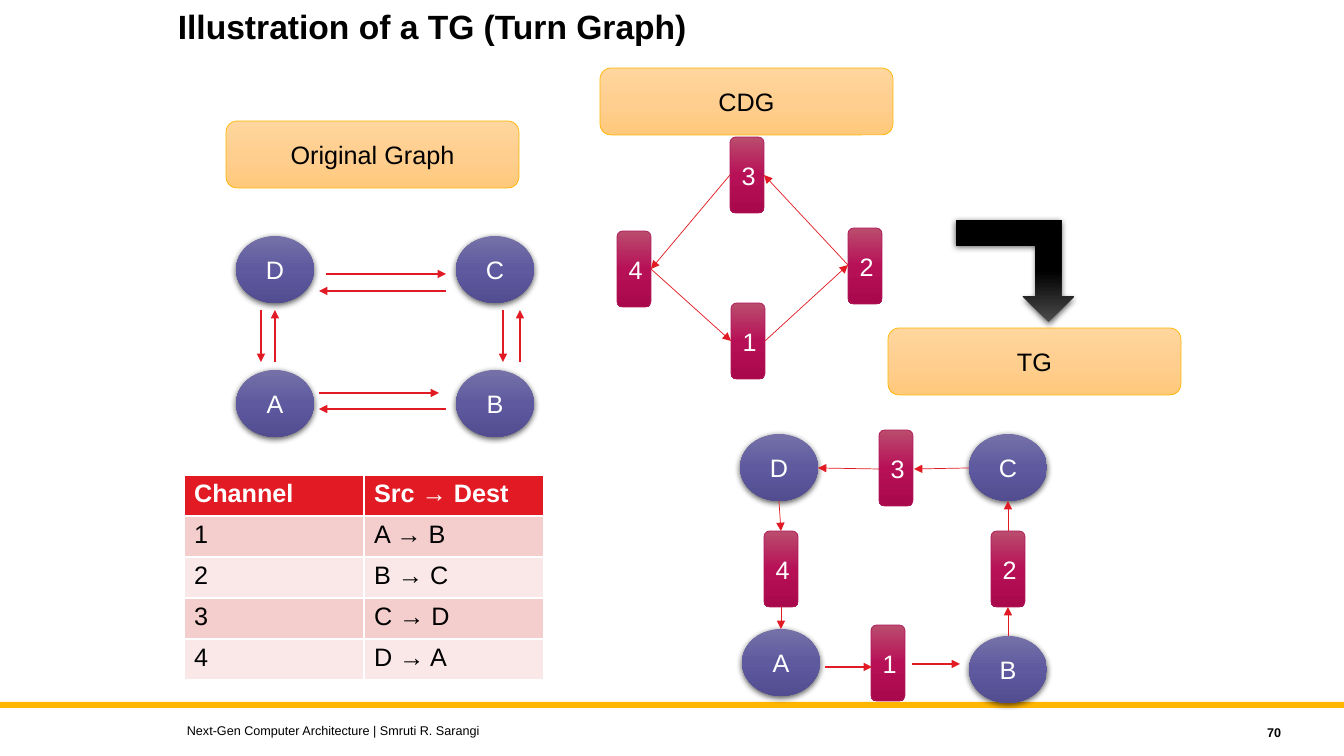
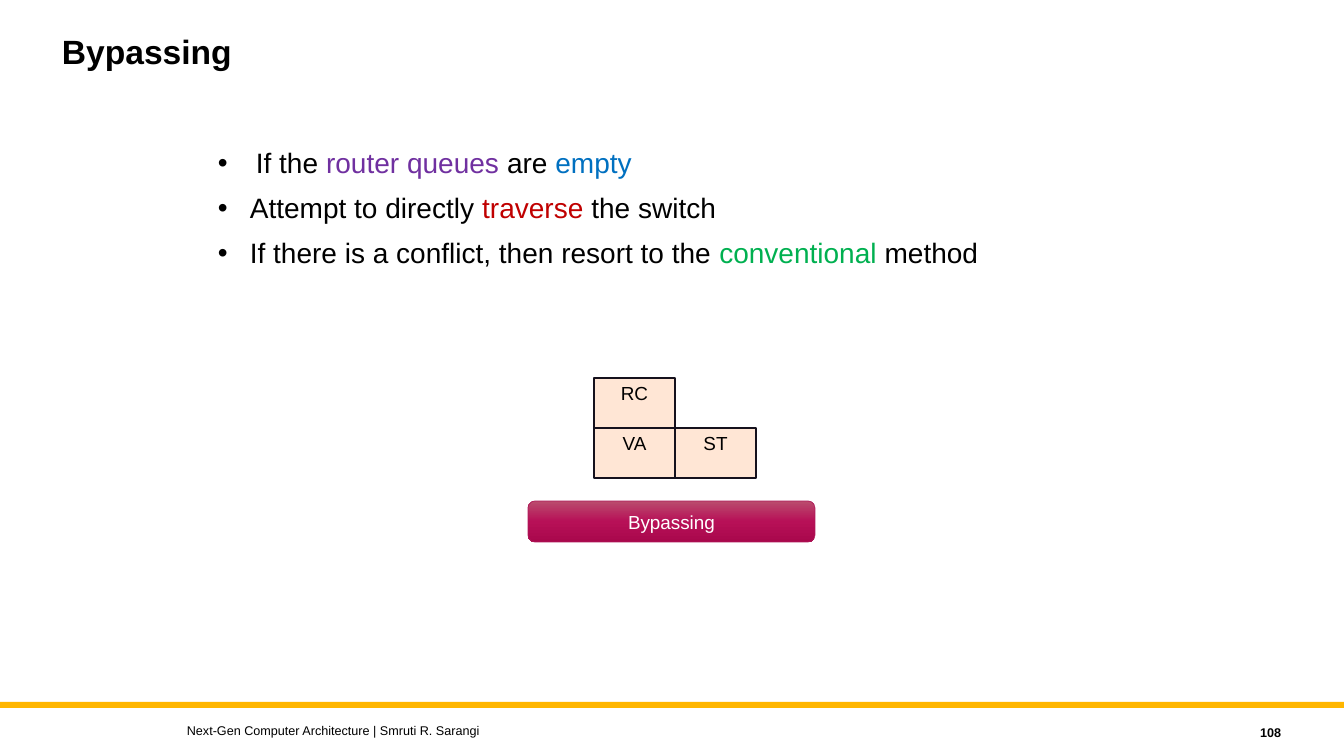
from copy import deepcopy

from lxml import etree
from pptx import Presentation
from pptx import util as u
from pptx.dml import color as dml
from pptx.enum import shapes, text
from pptx.oxml import ns

PX = 914400 / 100.8  # EMU in one px
FONT = "Arial"
BLACK, WHITE, RED, GOLD = "000000", "FFFFFF", "E21A23", "FFB600"
KIND, ALIGN, ANCHOR = shapes.MSO_SHAPE, text.PP_ALIGN, text.MSO_ANCHOR

# Styles shared by the slides
LABEL = {"kind": KIND.ROUNDED_RECTANGLE, "fill": ["FFD69E", "FFCF90", "FFC97C"],
         "line": (GOLD, 0.5), "align": ALIGN.CENTER}
NODE = {"kind": KIND.OVAL, "fill": ["7571A8", "5F5A9F", "524D90"], "shadow": True,
        "color": WHITE, "align": ALIGN.CENTER}
CHANNEL = {"kind": KIND.ROUNDED_RECTANGLE, "fill": ["BA4D6E", "B71057", "A9084C"],
           "line": ("AF1858", 0.5), "color": WHITE, "align": ALIGN.CENTER}
STAGE = {"kind": KIND.RECTANGLE, "fill": ["FFE6D5"], "line": ("15111D", 1), "size": 13.5,
         "align": ALIGN.CENTER, "anchor": ANCHOR.TOP, "insets": (7, 4)}
TURN = {"kind": KIND.BENT_UP_ARROW, "fill": ["4B4B4B", BLACK, BLACK], "shadow": True}
BAND = {"kind": KIND.RECTANGLE, "fill": [GOLD]}
TITLE = {"size": 24, "bold": True, "anchor": ANCHOR.TOP, "spacing": 0.9}
FOOTER = {"size": 9}
NUMBER = {"size": 9, "bold": True, "align": ALIGN.RIGHT}


def rgb(value):
    return dml.RGBColor.from_string(value)


def add_box(slide, box, style, words=""):
    """Add a shape, or a text box when the style names no kind."""
    box = [round(n * PX) for n in box]
    if "kind" in style:
        shape = slide.shapes.add_shape(style["kind"], *box)
        shape.shadow.inherit = False
        properties = shape._element.spPr
        colors = style["fill"]
        if len(colors) == 1:
            shape.fill.solid()
            shape.fill.fore_color.rgb = rgb(colors[0])
        else:
            shape.fill.gradient()
            shape.fill.gradient_angle = 270
            stops = properties.find(".//" + ns.qn("a:gsLst"))
            stops.insert(1, deepcopy(stops[0]))
            for stop, position, value in zip(shape.fill.gradient_stops, (0, 0.5, 1), colors):
                stop.position = position
                stop.color.rgb = rgb(value)
        if "line" in style:
            shape.line.color.rgb = rgb(style["line"][0])
            shape.line.width = u.Pt(style["line"][1])
        else:
            shape.line.fill.background()
        if style.get("shadow"):
            shadow = etree.SubElement(properties.find(ns.qn("a:effectLst")), ns.qn("a:outerShdw"),
                                      blurRad="57150", dist="19050", dir="5400000", rotWithShape="0")
            tone = etree.SubElement(shadow, ns.qn("a:srgbClr"), val=BLACK)
            etree.SubElement(tone, ns.qn("a:alpha"), val="63000")
    else:
        shape = slide.shapes.add_textbox(*box)
    frame = shape.text_frame
    frame.word_wrap = True
    frame.vertical_anchor = style.get("anchor", ANCHOR.MIDDLE)
    if "insets" in style:
        side, edge = [round(n * PX) for n in style["insets"]]
        frame.margin_left = frame.margin_right = side
        frame.margin_top = frame.margin_bottom = edge
    if words:
        paragraph = frame.paragraphs[0]
        paragraph.alignment = style.get("align", ALIGN.LEFT)
        paragraph.line_spacing = style.get("spacing")
        run = paragraph.add_run()
        run.text = words
        formats = {"name": FONT, "size": u.Pt(style.get("size", 18)), "bold": style.get("bold", False)}
        for name, value in formats.items():
            setattr(run.font, name, value)
        run.font.color.rgb = rgb(style.get("color", BLACK))
    return shape


presentation = Presentation()
presentation.slide_width = round(1344 * PX)
presentation.slide_height = round(756 * PX)

# Band, title, footer and number of each slide
slides = []
for title, box, number in [
    ("Illustration of a TG (Turn Graph)", (168, 5, 756, 91), "70"),
    ("Bypassing", (52, 30, 1008, 91), "108"),
]:
    slide = presentation.slides.add_slide(presentation.slide_layouts[6])
    add_box(slide, (0, 702, 1344, 6), BAND)
    add_box(slide, box, TITLE, title)
    add_box(slide, (177, 718, 806, 25), FOOTER, "Next-Gen Computer Architecture | Smruti R. Sarangi")
    add_box(slide, (1150, 720, 141, 25), NUMBER, number)
    slides.append(slide)
graph_slide, bypass_slide = slides

# Turn graph: labels, nodes and channels, each group with one size
groups = [
    (LABEL, (293, 67), [("Original Graph", 226, 121), ("CDG", 600, 68), ("TG", 888, 328)]),
    (NODE, (78, 67), [
        ("A", 236, 370), ("B", 456, 370), ("D", 236, 236), ("C", 456, 236),
        ("A", 742, 629), ("B", 969, 636), ("D", 740, 434), ("C", 969, 434)]),
    (CHANNEL, (34, 76), [
        ("1", 731, 303), ("2", 848, 228), ("3", 730, 137), ("4", 617, 231),
        ("1", 871, 625), ("2", 991, 531), ("3", 879, 430), ("4", 764, 531)]),
]
for style, size, places in groups:
    for words, left, top in places:
        add_box(graph_slide, (left, top, *size), style, words)
turn = add_box(graph_slide, (956, 220, 118, 102), TURN)
turn._element.spPr.find(ns.qn("a:xfrm")).set("flipV", "1")

# Arrows by line width
arrows = {
    1.5: [
        (326, 274, 446, 274), (446, 291, 319, 291), (319, 393, 439, 393), (446, 409, 319, 409),
        (261, 310, 261, 362), (275, 362, 275, 310), (503, 310, 503, 362), (520, 362, 520, 310),
        (825, 667, 872, 667), (912, 664, 960, 664)],
    0.5: [
        (765, 341, 848, 265), (848, 265, 764, 175), (730, 175, 651, 269), (651, 269, 731, 341),
        (1008, 636, 1008, 607), (1008, 531, 1008, 501), (969, 468, 914, 469),
        (879, 469, 818, 468), (779, 501, 781, 531), (781, 607, 781, 629)],
}
for width, routes in arrows.items():
    for route in routes:
        arrow = graph_slide.shapes.add_connector(
            shapes.MSO_CONNECTOR.STRAIGHT, *[round(n * PX) for n in route])
        arrow.line.color.rgb = rgb(RED)
        arrow.line.width = u.Pt(width)
        properties = arrow._element.spPr
        etree.SubElement(properties.find(ns.qn("a:ln")), ns.qn("a:tailEnd"), type="triangle")
        etree.SubElement(properties, ns.qn("a:effectLst"))

# Channel table
rows = [("Channel", "Src → Dest"), ("1", "A → B"), ("2", "B → C"), ("3", "C → D"), ("4", "D → A")]
table = graph_slide.shapes.add_table(
    len(rows), 2, *[round(n * PX) for n in (184, 475, 360, 41 * len(rows))]).table
for r, row in enumerate(rows):
    for c, words in enumerate(row):
        cell = table.cell(r, c)
        cell.fill.solid()
        cell.fill.fore_color.rgb = rgb(RED if r == 0 else ("FAE8E8", "F4CDCD")[r % 2])
        run = cell.text_frame.paragraphs[0].add_run()
        run.text = words
        for name, value in {"name": FONT, "size": u.Pt(18), "bold": r == 0}.items():
            setattr(run.font, name, value)
        run.font.color.rgb = rgb(WHITE if r == 0 else BLACK)

# Bypassing: bullets with coloured key words
bullets = [
    (38, [("If the ", BLACK), ("router queues ", "7030A0"), ("are ", BLACK), ("empty", "0070C0")]),
    (32, [("Attempt to directly ", BLACK), ("traverse", "C00000"), (" the switch", BLACK)]),
    (32, [("If there is a conflict, then resort to the ", BLACK), ("conventional", "00B050"),
          (" method", BLACK)]),
]
frame = add_box(bypass_slide, (208, 141, 917, 480), {"anchor": ANCHOR.TOP}).text_frame
for i, (indent, runs) in enumerate(bullets):
    paragraph = frame.add_paragraph() if i else frame.paragraphs[0]
    properties = paragraph._p.get_or_add_pPr()
    properties.set("marL", str(round(indent * PX)))
    properties.set("indent", str(-round(indent * PX)))
    etree.SubElement(properties, ns.qn("a:buFont"), typeface=FONT)
    etree.SubElement(properties, ns.qn("a:buChar"), char="•")
    paragraph.space_before = u.Pt(8 if i else 0)
    for words, value in runs:
        run = paragraph.add_run()
        run.text = words
        run.font.name = FONT
        run.font.size = u.Pt(20)
        run.font.color.rgb = rgb(value)

# Pipeline stages on a grid, with their caption
for words, column, row in [("RC", 0, 0), ("VA", 0, 1), ("ST", 1, 1)]:
    add_box(bypass_slide, (594 + 81 * column, 378 + 50 * row, 81, 50), STAGE, words)
add_box(bypass_slide, (528, 501, 287, 41), {**CHANNEL, "size": 13.5}, "Bypassing")

presentation.save("out.pptx")
